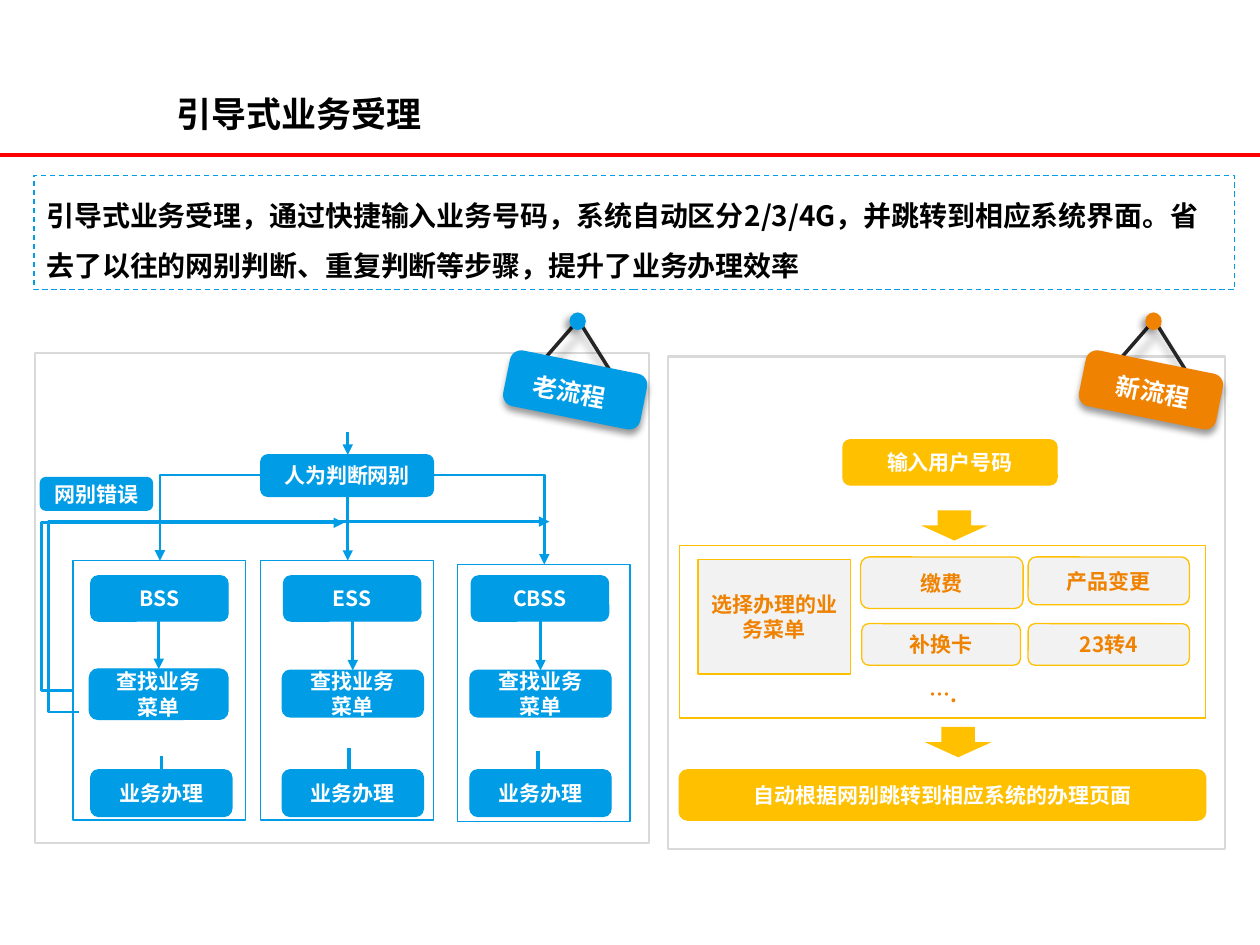
from lxml.etree import SubElement
from pptx import Presentation
from pptx.dml.color import RGBColor
from pptx.enum.dml import MSO_LINE
from pptx.enum.shapes import MSO_CONNECTOR as LINK, MSO_SHAPE as SHAPE
from pptx.enum.text import MSO_ANCHOR as ANCHOR, PP_ALIGN as ALIGN
from pptx.oxml.ns import qn
from pptx.util import Cm, Pt

FONT = "Noto Sans CJK SC"
COLORS = {
    "blue": "009DE6", "gold": "FFC000", "orange": "EF8201", "red": "FF0000",
    "white": "FFFFFF", "black": "000000", "pale": "F2F2F2",
    "frame": "D9D9D9", "cord": "262626",
}


def rgb(name):
    return RGBColor.from_string(COLORS[name])


def cm(*inches):
    """Turn slide positions in inches into Cm lengths."""
    return [Cm(value * 2.54) for value in inches]


def write(shape, lines, color, size=12, align=ALIGN.CENTER,
          anchor=ANCHOR.MIDDLE, spacing=None):
    frame = shape.text_frame
    frame.word_wrap = True
    frame.vertical_anchor = anchor
    for index, line in enumerate(lines):
        paragraph = frame.add_paragraph() if index else frame.paragraphs[0]
        paragraph.alignment = align
        if spacing:
            paragraph.line_spacing = spacing
        run = paragraph.add_run()
        run.text = line
        font = run.font
        font.size, font.bold, font.name = Pt(size), True, FONT
        font.color.rgb = rgb(color)
        SubElement(font._element, qn("a:ea"), typeface=FONT)


def style(shape, fill=None, line=None, width=0.75):
    shape.shadow.inherit = False
    if fill:
        shape.fill.solid()
        shape.fill.fore_color.rgb = rgb(fill)
    else:
        shape.fill.background()
    if line:
        shape.line.color.rgb = rgb(line)
        shape.line.width = Pt(width)
    else:
        shape.line.fill.background()


def add_block(slide, kind, box, fill=None, line=None, width=0.75):
    block = slide.shapes.add_shape(kind, *cm(*box))
    style(block, fill, line, width)
    return block


def add_step(slide, box, *lines, fill="blue", line=None, color="white",
             kind=SHAPE.ROUNDED_RECTANGLE):
    step = add_block(slide, kind, box, fill, line or fill)
    write(step, lines, color)


def add_text(slide, box, text, color, size, **layout):
    label = slide.shapes.add_textbox(*cm(*box))
    write(label, [text], color, size, anchor=ANCHOR.TOP, **layout)
    return label


def add_link(slide, start, end, color="blue", width=1.75, arrow=True,
             kind=LINK.STRAIGHT):
    link = slide.shapes.add_connector(kind, *cm(*start, *end))
    link.line.color.rgb = rgb(color)
    link.line.width = Pt(width)
    if arrow:
        SubElement(link.line._get_or_add_ln(), qn("a:tailEnd"), type="triangle")
    SubElement(link._element.spPr, qn("a:effectLst"))
    return link


def add_corner(slide, start, end):
    """Arrow that runs sideways, then down."""
    corner = add_link(slide, start, end, width=1.5, kind=LINK.ELBOW)
    corner._element.spPr.find(qn("a:prstGeom")).set("prst", "bentConnector2")


def add_return(slide, start, end, bend):
    """Arrow that loops back on the left; bend is a share of its width."""
    loop = add_link(slide, start, end, width=1.5, kind=LINK.ELBOW)
    geometry = loop._element.spPr.find(qn("a:prstGeom"))
    guides = geometry.get_or_add_avLst()
    SubElement(guides, qn("a:gd"), name="adj1", fmla=f"val {round(bend * 100000)}")


def cast_shadow(shape, alpha, blur, distance, angle):
    effects = shape._element.spPr.find(qn("a:effectLst"))
    shadow = SubElement(
        effects, qn("a:outerShdw"), blurRad=str(Pt(blur)), dist=str(Pt(distance)),
        dir=str(angle * 60000), algn="ctr", rotWithShape="0")
    tint = SubElement(shadow, qn("a:srgbClr"), val=COLORS["black"])
    SubElement(tint, qn("a:alpha"), val=str(alpha * 1000))


def add_sign(slide, left, text, text_left, color):
    """Tilted sign hanging from a pin."""
    start, *rest = [cm(left + x, y) for x, y in
                    ((0.31, 2.85), (0.58, 2.54), (0.85, 2.97))]
    builder = slide.shapes.build_freeform(*start)
    builder.add_line_segments(rest, close=False)
    cord = builder.convert_to_shape()
    style(cord, line="cord", width=2)
    cast_shadow(cord, 29, 5, 8, 77)

    pin = add_block(slide, SHAPE.OVAL, (left + 0.51, 2.48, 0.13, 0.14), color)
    cast_shadow(pin, 40, 4, 3, 135)

    plate = add_block(slide, SHAPE.ROUNDED_RECTANGLE, (left, 2.87, 1.11, 0.45), color)
    plate.adjustments[0] = 0.2
    plate.rotation = 11.4
    cast_shadow(plate, 40, 4, 3, 90)

    label = add_text(slide, (text_left, 2.94, 0.94, 0.34), text, "white", 14)
    label.rotation = 10.5


def add_header(slide):
    add_link(slide, (0, 1.23), (10, 1.23), "red", 2, arrow=False)
    add_text(slide, (1.3, 0.52, 6.93, 0.56), "引导式业务受理", "black", 20,
             align=ALIGN.JUSTIFY, spacing=1.5)
    summary = add_block(slide, SHAPE.RECTANGLE, (0.27, 1.39, 9.53, 0.91), line="blue")
    summary.line.dash_style = MSO_LINE.DASH
    write(summary, ["引导式业务受理，通过快捷输入业务号码，系统自动区分2/3/4G，"
                    "并跳转到相应系统界面。省去了以往的网别判断、重复判断等步骤，"
                    "提升了业务办理效率"],
          "black", 16, ALIGN.LEFT, ANCHOR.TOP, 1.5)


def add_old_flow(slide):
    add_block(slide, SHAPE.RECTANGLE, (0.28, 2.8, 4.87, 3.89), line="frame", width=1.25)
    add_step(slide, (2.07, 3.61, 1.37, 0.33), "人为判断网别")
    add_link(slide, (2.76, 3.43), (2.76, 3.61))
    add_link(slide, (2.76, 3.94), (2.76, 4.45), width=1.5)
    add_corner(slide, (2.07, 3.77), (1.27, 4.45))
    add_corner(slide, (3.44, 3.77), (4.32, 4.48))

    # system, lane, system box left, search box, arrow x, handling left, stub
    lanes = (
        ("BSS", (0.58, 4.45, 1.37, 2.06), 0.72, (0.71, 5.31, 1.1, 0.4),
         1.26, 0.72, (1.28, 6.0)),
        ("ESS", (2.07, 4.45, 1.37, 2.06), 2.25, (2.24, 5.32, 1.12, 0.37),
         2.8, 2.24, (2.77, 5.94)),
        ("CBSS", (3.63, 4.48, 1.37, 2.04), 3.74, (3.73, 5.32, 1.12, 0.37),
         4.29, 3.73, (4.27, 5.96)),
    )
    for system, lane, system_left, search, arrow_x, handling_left, stub in lanes:
        add_block(slide, SHAPE.RECTANGLE, lane, line="blue")
        add_step(slide, (system_left, 4.57, 1.09, 0.36), system)
        add_step(slide, search, "查找业务", "菜单")
        add_link(slide, (arrow_x, 4.93), (arrow_x, search[1]))
        add_link(slide, stub, (stub[0], stub[1] + 0.34))
        add_step(slide, (handling_left, 6.11, 1.12, 0.37), "业务办理")

    add_return(slide, (0.58, 5.48), (2.73, 4.15), -0.116)
    add_step(slide, (0.32, 3.79, 0.89, 0.26), "网别错误")
    add_return(slide, (0.63, 5.65), (4.36, 4.14), -0.066)


def add_new_flow(slide):
    add_block(slide, SHAPE.RECTANGLE, (5.3, 2.83, 4.42, 3.91), line="frame", width=1.25)
    add_step(slide, (6.69, 3.49, 1.7, 0.36), "输入用户号码", fill="gold")
    add_step(slide, (5.39, 6.11, 4.18, 0.4), "自动根据网别跳转到相应系统的办理页面",
             fill="gold")
    menu = {"fill": "pale", "line": "gold", "color": "orange"}
    add_step(slide, (5.54, 4.44, 1.21, 0.91), "选择办理的业务菜单",
             kind=SHAPE.RECTANGLE, **menu)
    for item, box in (("缴费", (6.83, 4.42, 1.29, 0.41)),
                      ("补换卡", (6.84, 4.95, 1.26, 0.33)),
                      ("产品变更", (8.16, 4.42, 1.28, 0.38)),
                      ("23转4", (8.16, 4.95, 1.28, 0.33))):
        add_step(slide, box, item, **menu)
    add_block(slide, SHAPE.RECTANGLE, (5.39, 4.33, 4.18, 1.37), line="gold")
    add_text(slide, (6.87, 5.36, 1.23, 0.3), "….", "orange", 12)
    for left, top in ((7.34, 5.77), (7.31, 4.05)):
        add_block(slide, SHAPE.DOWN_ARROW, (left, top, 0.53, 0.24), "gold")


def main():
    deck = Presentation()
    deck.slide_width, deck.slide_height = cm(10, 7.5)
    slide = deck.slides.add_slide(deck.slide_layouts[6])
    add_header(slide)
    add_old_flow(slide)
    add_new_flow(slide)
    add_sign(slide, 4.01, "老流程", 4.05, "blue")
    add_sign(slide, 8.58, "新流程", 8.68, "orange")
    deck.save("out.pptx")


if __name__ == "__main__":
    main()
